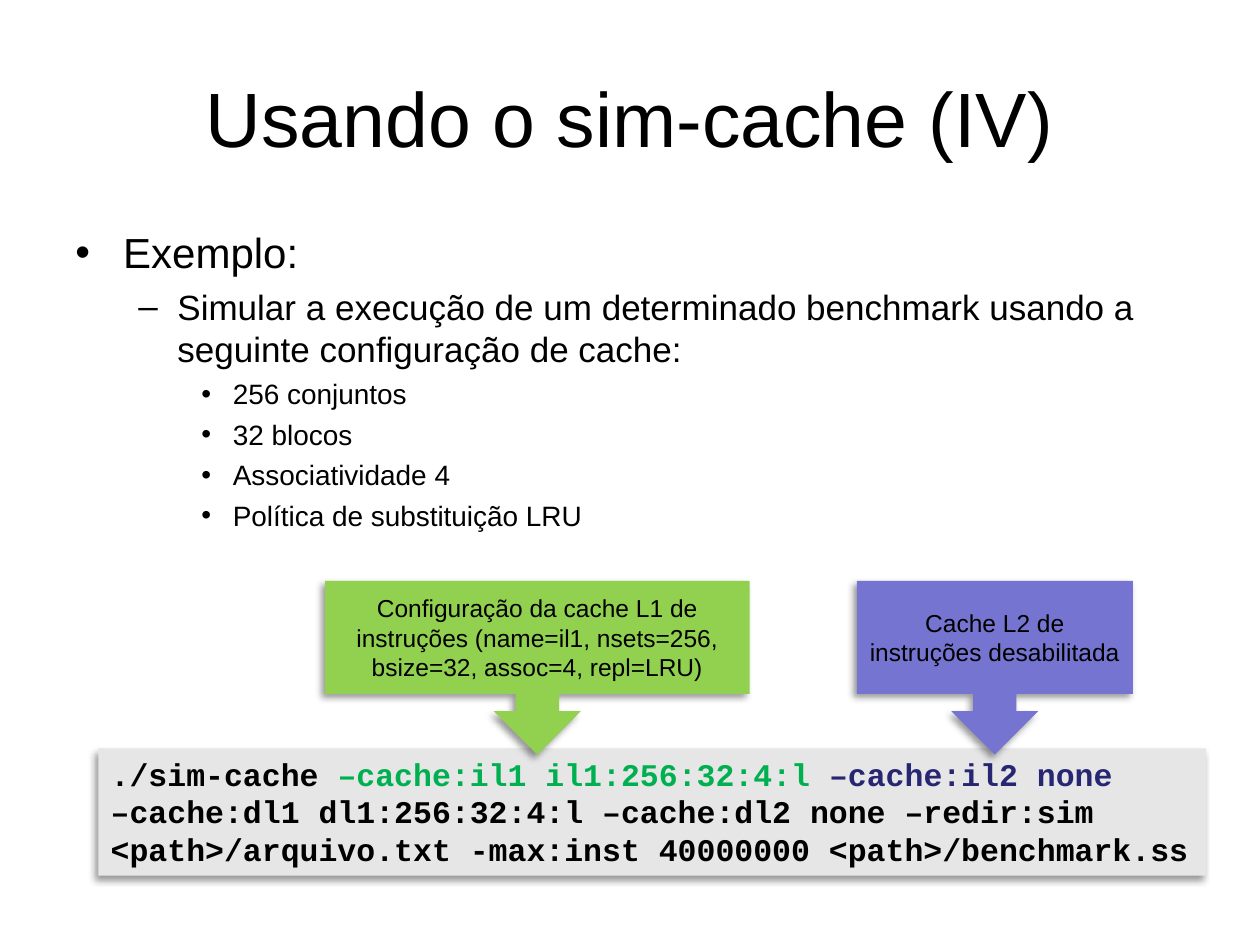
from lxml import etree
from pptx import Presentation
from pptx.dml.color import RGBColor
from pptx.enum.shapes import MSO_SHAPE as SHAPE
from pptx.enum.text import MSO_ANCHOR as ANCHOR, PP_ALIGN as ALIGN
from pptx.oxml import parse_xml
from pptx.oxml.ns import nsdecls, qn
from pptx.util import Inches, Pt

BLACK = RGBColor(0x00, 0x00, 0x00)
GRAY = RGBColor(0xE6, 0xE6, 0xE6)
LIME = RGBColor(0x92, 0xD0, 0x50)
GREEN = RGBColor(0x00, 0xB0, 0x50)
VIOLET = RGBColor(0x75, 0x75, 0xD1)
NAVY = RGBColor(0x26, 0x26, 0x73)

# Outline levels: text size, bullet, left indent and hanging indent
LEVELS = [(24, "•", 0.38, 0.38), (20, "–", 0.81, 0.31), (16, "•", 1.25, 0.25)]


def add_text(p, text, size=18, font="Arial", color=BLACK, bold=False):
    r = p.add_run()
    r.text = text
    r.font.size = Pt(size)
    r.font.name = font
    r.font.color.rgb = color
    r.font.bold = bold


def add_box(s, box):
    tf = s.shapes.add_textbox(*map(Inches, box)).text_frame
    tf.word_wrap = True
    return tf


def add_panel(s, kind, box, fill):
    """Filled shape without outline, with a soft shadow to the lower left."""
    sp = s.shapes.add_shape(kind, *map(Inches, box))
    sp.fill.solid()
    sp.fill.fore_color.rgb = fill
    sp.line.fill.background()
    sp.shadow.inherit = False
    effects = sp._element.spPr.find(qn("a:effectLst"))
    effects.append(parse_xml(
        f'<a:outerShdw {nsdecls("a")} blurRad="{Pt(4)}" dist="{Pt(3)}" '
        f'dir="{135 * 60000}" algn="tr" rotWithShape="0">'
        '<a:srgbClr val="000000"><a:alpha val="40000"/></a:srgbClr>'
        '</a:outerShdw>'))
    sp.text_frame.word_wrap = True
    return sp.text_frame


def add_title(s, box, text):
    tf = add_box(s, box)
    tf.vertical_anchor = ANCHOR.MIDDLE
    p = tf.paragraphs[0]
    p.alignment = ALIGN.CENTER
    add_text(p, text, size=44)


def add_outline(s, box, items):
    tf = add_box(s, box)
    for i, (level, text) in enumerate(items):
        p = tf.add_paragraph() if i else tf.paragraphs[0]
        size, bullet, left, hanging = LEVELS[level]
        p.level = level
        p.space_before = Pt(size / 4)
        add_text(p, text, size=size)
        pPr = p._p.get_or_add_pPr()
        pPr.set("marL", str(Inches(left)))
        pPr.set("indent", str(-Inches(hanging)))
        etree.SubElement(pPr, qn("a:buFont")).set("typeface", "Arial")
        etree.SubElement(pPr, qn("a:buChar")).set("char", bullet)


def add_command(s, box, parts):
    tf = add_panel(s, SHAPE.RECTANGLE, box, GRAY)
    tf.vertical_anchor = ANCHOR.TOP
    p = tf.paragraphs[0]
    p.alignment = ALIGN.LEFT
    for text, color in parts:
        if text == "\n":
            p.add_line_break()
        else:
            add_text(p, text, font="Courier New", color=color, bold=True)


def add_callout(s, box, text, fill):
    tf = add_panel(s, SHAPE.DOWN_ARROW_CALLOUT, box, fill)
    tf.vertical_anchor = ANCHOR.MIDDLE
    p = tf.paragraphs[0]
    p.alignment = ALIGN.CENTER
    add_text(p, text, size=14)


prs = Presentation()
prs.slide_width, prs.slide_height = Inches(10), Inches(7.5)
s = prs.slides.add_slide(prs.slide_layouts[6])

# Title and outline
add_title(s, (0.5, 0.3, 9, 1.25), "Usando o sim-cache (IV)")
add_outline(s, (0.5, 1.75, 9, 2.7), [
    (0, "Exemplo:"),
    (1, "Simular a execução de um determinado benchmark usando a "
        "seguinte configuração de cache:"),
    (2, "256 conjuntos"),
    (2, "32 blocos"),
    (2, "Associatividade 4"),
    (2, "Política de substituição LRU"),
])

# Command line, with callouts pointing at its options
add_command(s, (0.78, 5.94, 8.79, 1.01), [
    ("./sim-cache ", BLACK),
    ("–cache:il1 il1:256:32:4:l ", GREEN),
    ("–cache:il2 none", NAVY),
    ("\n", None),
    ("–cache:dl1 dl1:256:32:4:l –cache:dl2 none –redir:sim "
     "<path>/arquivo.txt -max:inst 40000000 <path>/benchmark.ss", BLACK),
])
for left, width, fill, text in [
    (2.58, 3.37, LIME, "Configuração da cache L1 de instruções "
     "(name=il1, nsets=256, bsize=32, assoc=4, repl=LRU)"),
    (6.8, 2.19, VIOLET, "Cache L2 de instruções desabilitada"),
]:
    add_callout(s, (left, 4.61, width, 1.38), text, fill)

prs.save("out.pptx")
